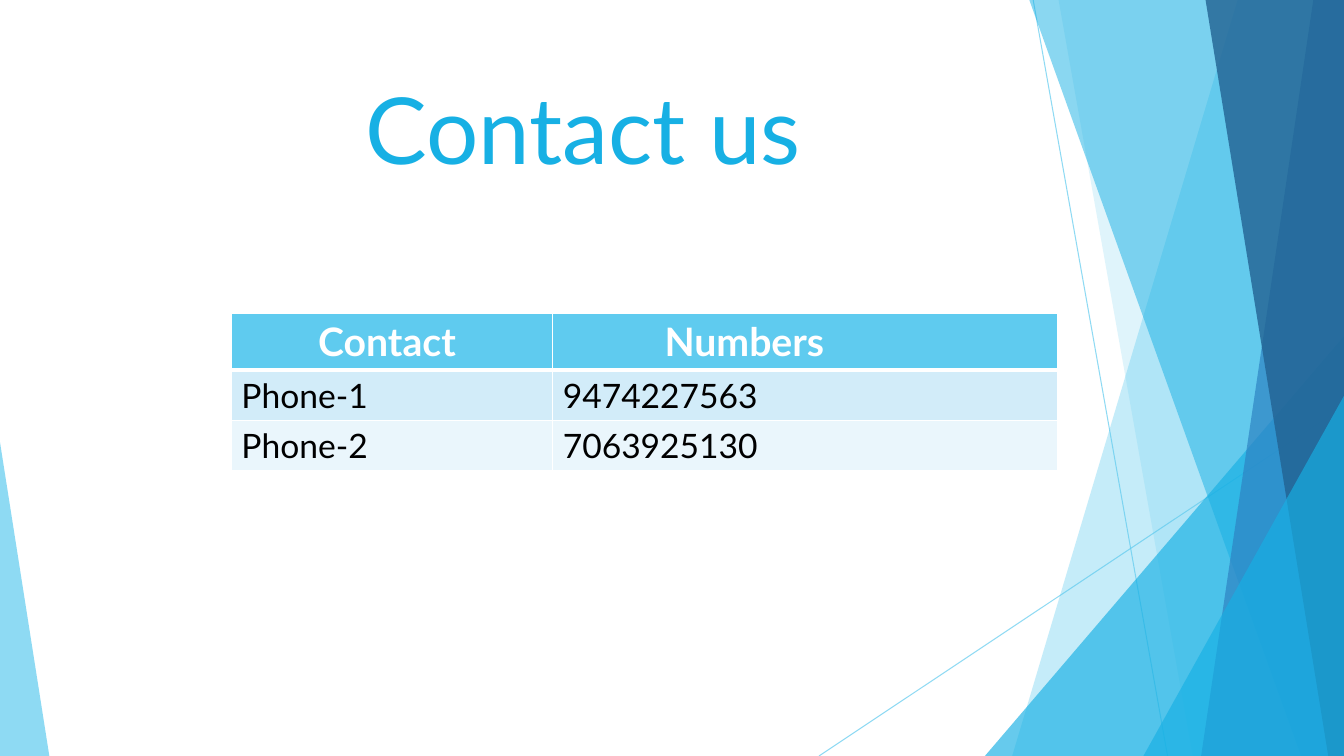
import dataclasses

import lxml.etree
import pptx
import pptx.dml.color
import pptx.enum.shapes
import pptx.enum.text
import pptx.oxml.ns
import pptx.util

EMU_PER_PX = 9525
SLIDE_WIDTH = 1280
SLIDE_HEIGHT = 720
BAND_TOP = -1


@dataclasses.dataclass(frozen=True)
class Theme:
    font: str = "Lato"
    sky: str = "5FCBEF"
    azure: str = "17B0E4"
    blue: str = "2E83C3"
    navy: str = "226292"
    white: str = "FFFFFF"
    black: str = "000000"
    row_fills: tuple[str, ...] = ("D2ECF9", "EAF6FC")
    title_size: int = 66
    header_size: int = 28
    body_size: int = 24


THEME = Theme()


@dataclasses.dataclass(frozen=True)
class Ray:
    start: tuple[int, int]
    end: tuple[int, int]


@dataclasses.dataclass(frozen=True)
class Band:
    top_left: int
    bottom_left: int
    color: str
    opacity: int


@dataclasses.dataclass(frozen=True)
class Corner:
    left: int
    top: int
    width: int
    apex: int
    color: str
    opacity: int


@dataclasses.dataclass(frozen=True)
class Column:
    header: str
    header_inset: int
    width: int
    values: tuple[str, ...]


RAYS = [Ray((984, 0), (1112, 720)), Ray((1280, 387), (780, 720))]

FACETS = [
    Band(1179, 964, THEME.sky, 36),
    Band(1008, 1136, THEME.sky, 20),
    Corner(938, 320, 342, 1, THEME.azure, 66),
    Band(980, 1239, THEME.azure, 50),
    Band(1251, 1144, THEME.blue, 70),
    Band(1148, 1265, THEME.navy, 80),
    Corner(1089, 377, 191, 1, THEME.azure, 66),
    Corner(0, 421, 47, 0, THEME.sky, 70),
]

COLUMNS = [
    Column("Contact", 83, 306, ("Phone-1", "Phone-2")),
    Column("Numbers", 107, 481, ("9474227563", "7063925130")),
]
ROW_HEIGHTS = [54, 48, 48]


def px(length: int) -> pptx.util.Emu:
    return pptx.util.Emu(length * EMU_PER_PX)


def rgb(color: str) -> pptx.dml.color.RGBColor:
    return pptx.dml.color.RGBColor.from_string(color)


def add_element(parent, tag: str, **attributes: str):
    return lxml.etree.SubElement(parent, pptx.oxml.ns.qn(tag), attributes)


def set_opacity(properties, opacity: int) -> None:
    for color in properties.iter(pptx.oxml.ns.qn("a:srgbClr")):
        add_element(color, "a:alpha", val=str(opacity * 1000))


def set_font(paragraph, size: int, color: str, bold: bool = False) -> None:
    paragraph.font.name = THEME.font
    paragraph.font.size = pptx.util.Pt(size)
    paragraph.font.bold = bold
    paragraph.font.color.rgb = rgb(color)


def draw_ray(slide, ray: Ray) -> None:
    connector = slide.shapes.add_connector(
        pptx.enum.shapes.MSO_CONNECTOR.STRAIGHT,
        *map(px, ray.start + ray.end),
    )
    connector.line.color.rgb = rgb(THEME.sky)
    connector.line.width = pptx.util.Pt(0.75)
    properties = connector._element.spPr
    set_opacity(properties, 70)
    add_element(properties, "a:effectLst")


def add_band(slide, band: Band):
    builder = slide.shapes.build_freeform(band.top_left, BAND_TOP, scale=EMU_PER_PX)
    builder.add_line_segments([
        (SLIDE_WIDTH, BAND_TOP),
        (SLIDE_WIDTH, SLIDE_HEIGHT),
        (band.bottom_left, SLIDE_HEIGHT),
    ])
    return builder.convert_to_shape()


def add_corner(slide, corner: Corner):
    shape = slide.shapes.add_shape(
        pptx.enum.shapes.MSO_SHAPE.ISOSCELES_TRIANGLE,
        px(corner.left),
        px(corner.top),
        px(corner.width),
        px(SLIDE_HEIGHT - corner.top),
    )
    shape.adjustments[0] = corner.apex
    return shape


def draw_facet(slide, facet: Band | Corner) -> None:
    shape = add_band(slide, facet) if isinstance(facet, Band) else add_corner(slide, facet)
    shape.shadow.inherit = False
    shape.fill.solid()
    shape.fill.fore_color.rgb = rgb(facet.color)
    shape.line.fill.background()
    set_opacity(shape._element.spPr, facet.opacity)


def draw_title(slide) -> None:
    title = slide.shapes.title
    title.left, title.top, title.width, title.height = map(px, (71, 64, 902, 138))
    frame = title.text_frame
    frame.text = "Contact us"
    frame.margin_left = px(277)
    frame.vertical_anchor = pptx.enum.text.MSO_ANCHOR.TOP
    paragraph = frame.paragraphs[0]
    paragraph.alignment = pptx.enum.text.PP_ALIGN.LEFT
    set_font(paragraph, THEME.title_size, THEME.azure)


def add_borders(cell, widths: dict[str, int]) -> None:
    properties = cell._tc.get_or_add_tcPr()
    for position, (side, width) in enumerate(widths.items()):
        border = add_element(properties, f"a:ln{side}", w=str(pptx.util.Pt(width)))
        fill = add_element(border, "a:solidFill")
        add_element(fill, "a:srgbClr", val=THEME.white)
        properties.insert(position, border)


def draw_table(slide) -> None:
    width = sum(column.width for column in COLUMNS)
    frame = slide.shapes.add_table(
        len(ROW_HEIGHTS), len(COLUMNS),
        px(220), px(298), px(width), px(sum(ROW_HEIGHTS)),
    )
    table = frame.table
    for row, height in zip(table.rows, ROW_HEIGHTS):
        row.height = px(height)
    for column_index, column in enumerate(COLUMNS):
        table.columns[column_index].width = px(column.width)
        for row_index, text in enumerate((column.header, *column.values)):
            is_header = row_index == 0
            cell = table.cell(row_index, column_index)
            cell.text = text
            cell.margin_left = px(column.header_inset if is_header else 10)
            cell.fill.solid()
            cell.fill.fore_color.rgb = rgb(
                THEME.sky if is_header else THEME.row_fills[row_index - 1]
            )
            set_font(
                cell.text_frame.paragraphs[0],
                THEME.header_size if is_header else THEME.body_size,
                THEME.white if is_header else THEME.black,
                is_header,
            )
            top = 3 if row_index == 1 else 1
            bottom = 3 if is_header else 1
            add_borders(cell, {"L": 1, "R": 1, "T": top, "B": bottom})


def main() -> None:
    presentation = pptx.Presentation()
    presentation.slide_width = px(SLIDE_WIDTH)
    presentation.slide_height = px(SLIDE_HEIGHT)
    slide = presentation.slides.add_slide(presentation.slide_layouts[5])
    for ray in RAYS:
        draw_ray(slide, ray)
    for facet in FACETS:
        draw_facet(slide, facet)
    draw_title(slide)
    draw_table(slide)
    presentation.save("out.pptx")


if __name__ == "__main__":
    main()
